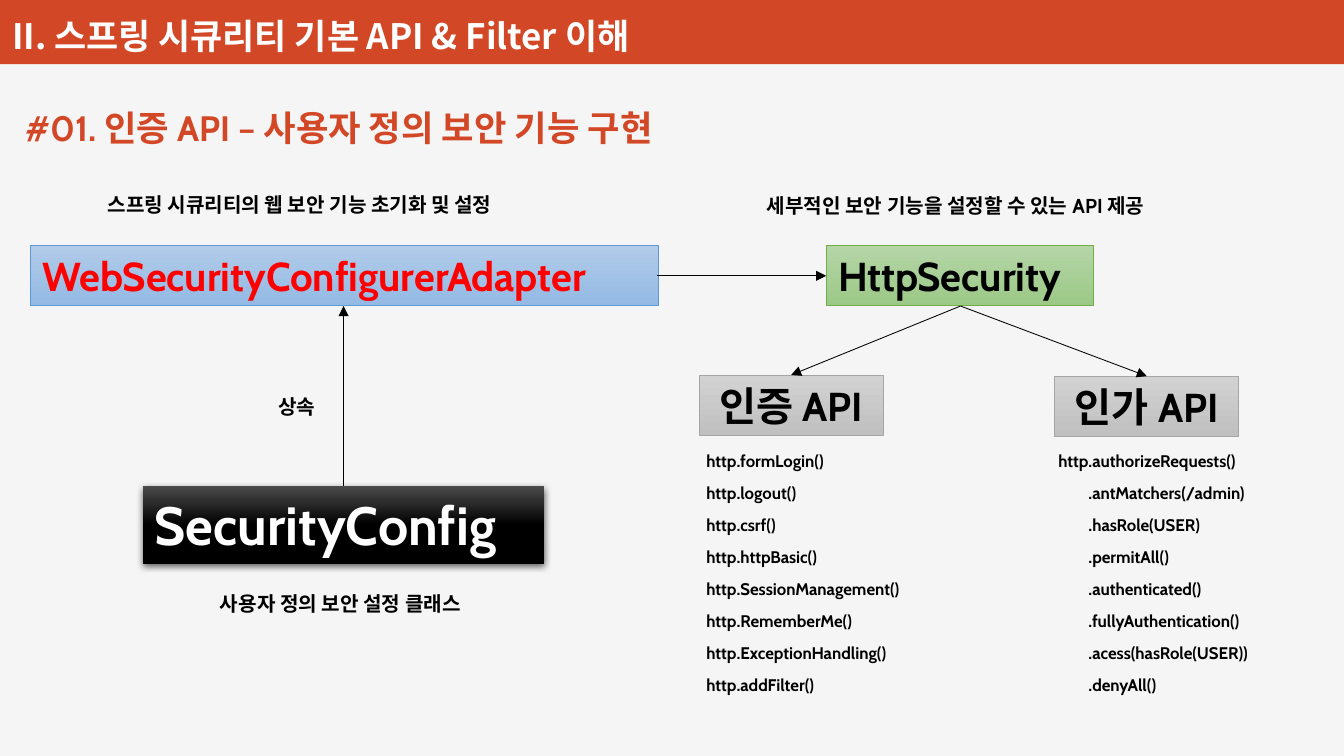
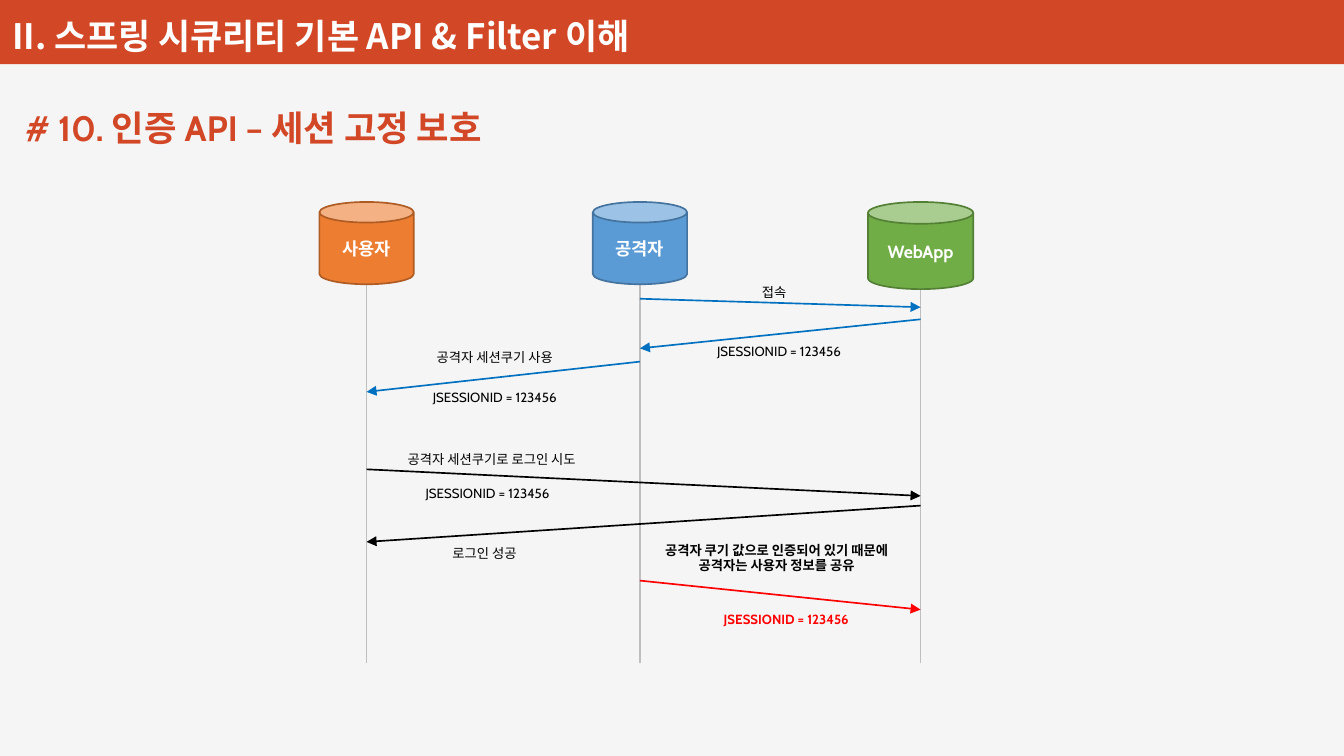
from dataclasses import dataclass
from typing import Optional

from lxml.etree import SubElement
from pptx import Presentation
from pptx.dml.color import RGBColor
from pptx.enum.shapes import MSO_CONNECTOR, MSO_SHAPE
from pptx.enum.text import MSO_ANCHOR, MSO_AUTO_SIZE, PP_ALIGN
from pptx.oxml.ns import qn
from pptx.shapes.autoshape import Shape
from pptx.slide import Slide
from pptx.text.text import TextFrame
from pptx.util import Inches, Pt

# Shared style
SLIDE_WIDTH, SLIDE_HEIGHT = 11.11, 6.25
LATIN, HANGUL = "Cabin", "Noto Sans CJK KR"
ACCENT, PAPER = "D24726", "F5F5F5"
BLACK, WHITE, RED, BLUE, GREY = "000000", "FFFFFF", "FF0000", "0070C0", "BFBFBF"
CHAPTER = "II. 스프링 시큐리티 기본 API & Filter 이해"
SESSION_COOKIE = "JSESSIONID = 123456"


@dataclass
class Label:
    text: str
    left: float
    top: float
    width: float
    height: float = 0.3
    size: float = 12
    color: str = BLACK
    bold: bool = True
    font: str = LATIN
    centered: bool = False
    wrap: bool = False
    space_before: float = 0


@dataclass
class ApiBox:
    label: Label
    top_color: str
    bottom_color: str
    outline: Optional[str]
    fade_end: float = 1.0


@dataclass
class Actor:
    name: str
    axis: float
    width: float
    height: float
    fill: str
    outline: str


@dataclass
class Arrow:
    x1: float
    y1: float
    x2: float
    y2: float
    color: str = BLACK
    weight: float = 1
    head: bool = True


def rgb(color: str) -> RGBColor:
    return RGBColor.from_string(color)


def write(frame: TextFrame, label: Label) -> None:
    frame.text = label.text
    frame.word_wrap = label.wrap
    for index, paragraph in enumerate(frame.paragraphs):
        paragraph.alignment = PP_ALIGN.CENTER if label.centered else PP_ALIGN.LEFT
        if index and label.space_before:
            paragraph.space_before = Pt(label.space_before)
        for run in paragraph.runs:
            run.font.size = Pt(label.size)
            run.font.bold = label.bold
            run.font.color.rgb = rgb(label.color)
            run.font.name = label.font
            SubElement(run._r.get_or_add_rPr(), qn("a:ea"), typeface=HANGUL)


def add_label(slide: Slide, label: Label) -> TextFrame:
    box = slide.shapes.add_textbox(
        Inches(label.left), Inches(label.top), Inches(label.width), Inches(label.height))
    write(box.text_frame, label)
    box.text_frame.auto_size = MSO_AUTO_SIZE.SHAPE_TO_FIT_TEXT
    return box.text_frame


def add_plain_shape(slide: Slide, kind: MSO_SHAPE, left: float, top: float,
                    width: float, height: float, outline: Optional[str], weight: float) -> Shape:
    shape = slide.shapes.add_shape(
        kind, Inches(left), Inches(top), Inches(width), Inches(height))
    shape.shadow.inherit = False
    if outline:
        shape.line.color.rgb = rgb(outline)
        shape.line.width = Pt(weight)
    else:
        shape.line.fill.background()
    return shape


def add_api_box(slide: Slide, box: ApiBox) -> Shape:
    label = box.label
    shape = add_plain_shape(slide, MSO_SHAPE.RECTANGLE, label.left, label.top,
                            label.width, label.height, box.outline, 0.5)
    shape.fill.gradient()
    shape.fill.gradient_angle = 270
    first, last = shape.fill.gradient_stops
    first.color.rgb, first.position = rgb(box.top_color), 0
    last.color.rgb, last.position = rgb(box.bottom_color), box.fade_end
    write(shape.text_frame, label)
    shape.text_frame.vertical_anchor = MSO_ANCHOR.TOP
    shape.text_frame.auto_size = MSO_AUTO_SIZE.SHAPE_TO_FIT_TEXT
    return shape


def add_soft_shadow(shape: Shape) -> None:
    effects = shape._element.spPr.find(qn("a:effectLst"))
    shadow = SubElement(effects, qn("a:outerShdw"), blurRad=str(Pt(4.5)), dist=str(Pt(1.5)),
                        dir="5400000", algn="ctr", rotWithShape="0")
    color = SubElement(shadow, qn("a:srgbClr"), val=BLACK)
    SubElement(color, qn("a:alpha"), val="63000")


def add_arrow(slide: Slide, arrow: Arrow) -> None:
    connector = slide.shapes.add_connector(
        MSO_CONNECTOR.STRAIGHT, Inches(arrow.x1), Inches(arrow.y1),
        Inches(arrow.x2), Inches(arrow.y2))
    connector.line.color.rgb = rgb(arrow.color)
    connector.line.width = Pt(arrow.weight)
    properties = connector._element.spPr
    if arrow.head:
        SubElement(properties.find(qn("a:ln")), qn("a:tailEnd"), type="triangle")
    SubElement(properties, qn("a:effectLst"))


def add_actor(slide: Slide, actor: Actor) -> None:
    can = add_plain_shape(slide, MSO_SHAPE.CAN, actor.axis - actor.width / 2, ACTOR_TOP,
                          actor.width, actor.height, actor.outline, 1)
    can.fill.solid()
    can.fill.fore_color.rgb = rgb(actor.fill)
    write(can.text_frame, Label(actor.name, 0, 0, 0, size=10.5, color=WHITE,
                                centered=True, wrap=True))
    can.text_frame.vertical_anchor = MSO_ANCHOR.MIDDLE


def start_slide(deck: Presentation, title: str, title_width: float) -> Slide:
    slide = deck.slides.add_slide(deck.slide_layouts[6])
    slide.background.fill.solid()
    slide.background.fill.fore_color.rgb = rgb(PAPER)
    # Chapter band
    band = add_plain_shape(slide, MSO_SHAPE.RECTANGLE, 0, 0, SLIDE_WIDTH, 0.53, None, 0)
    band.fill.solid()
    band.fill.fore_color.rgb = rgb(ACCENT)
    chapter = add_label(slide, Label(CHAPTER, 0.01, -0.1, 6.17, 0.61, 20.8, WHITE,
                                     font=HANGUL, wrap=True))
    chapter.auto_size = MSO_AUTO_SIZE.NONE
    chapter.vertical_anchor = MSO_ANCHOR.BOTTOM
    chapter.margin_left = chapter.margin_right = Inches(0.09)
    chapter.margin_top = chapter.margin_bottom = Inches(0.04)
    # Slide title
    add_label(slide, Label(title, 0.11, 0.83, title_width, 0.45, 21, ACCENT))
    return slide


# Slide 1: security classes and their methods
GREY_FADE = ("D2D2D2", "C0C0C0", "A5A5A5")
API_BOXES = [
    ApiBox(Label("WebSecurityConfigurerAdapter", 0.25, 2.03, 5.19, 0.5, 24, RED),
           "B1CBE9", "93B9E4", "5B9BD5"),
    ApiBox(Label("HttpSecurity", 6.83, 2.03, 2.21, 0.5, 24), "B5D5A7", "9CC987", "70AD47"),
    ApiBox(Label("인증 API", 5.78, 3.1, 1.52, 0.5, 24, centered=True), *GREY_FADE),
    ApiBox(Label("인가 API", 8.72, 3.11, 1.52, 0.5, 24, centered=True), *GREY_FADE),
]
SECURITY_CONFIG = ApiBox(Label("SecurityConfig", 1.18, 4.02, 3.32, 0.64, 32, WHITE),
                         "4B4B4B", BLACK, None, 0.5)
CLASS_ARROWS = [
    Arrow(2.84, 4.02, 2.84, 2.53, weight=0.5),
    Arrow(5.43, 2.28, 6.83, 2.28, weight=0.5),
    Arrow(7.94, 2.53, 6.54, 3.1, weight=0.5),
    Arrow(7.94, 2.53, 9.48, 3.11, weight=0.5),
]
CLASS_NOTES = [
    Label("스프링 시큐리티의 웹 보안 기능 초기화 및 설정", 0.79, 1.54, 3.72),
    Label("사용자 정의 보안 설정 클래스", 1.72, 4.84, 2.45),
    Label("세부적인 보안 기능을 설정할 수 있는 API 제공", 6.24, 1.55, 3.7),
    Label("상속", 2.2, 3.21, 0.54),
]
AUTHENTICATION_CODE = """http.formLogin()
http.logout()
http.csrf()
http.httpBasic()
http.SessionManagement()
http.RememberMe()
http.ExceptionHandling()
http.addFilter()"""
AUTHORIZATION_CODE = """http.authorizeRequests()
        .antMatchers(/admin)
        .hasRole(USER)
        .permitAll()
        .authenticated()
        .fullyAuthentication()
        .acess(hasRole(USER))
        .denyAll()"""
CODE_LISTS = [
    Label(AUTHENTICATION_CODE, 5.74, 3.68, 2.05, 2.13, 10, wrap=True, space_before=7),
    Label(AUTHORIZATION_CODE, 8.65, 3.68, 2.13, 2.13, 10, wrap=True, space_before=7),
]


def build_security_classes(deck: Presentation) -> None:
    slide = start_slide(deck, "#01. 인증 API – 사용자 정의 보안 기능 구현", 5.9)
    for box in API_BOXES:
        add_api_box(slide, box)
    add_soft_shadow(add_api_box(slide, SECURITY_CONFIG))
    for arrow in CLASS_ARROWS:
        add_arrow(slide, arrow)
    for label in CLASS_NOTES + CODE_LISTS:
        add_label(slide, label)


# Slide 2: session fixation sequence
ACTOR_TOP, LIFELINE_END = 1.67, 5.48
USER, ATTACKER, WEB_APP = 3.03, 5.29, 7.61
ACTORS = [
    Actor("사용자", USER, 0.78, 0.68, "ED7D31", "AF5C24"),
    Actor("공격자", ATTACKER, 0.78, 0.68, "5B9BD5", "43739E"),
    Actor("WebApp", WEB_APP, 0.87, 0.72, "70AD47", "538035"),
]
MESSAGES = [
    Arrow(ATTACKER, 2.47, WEB_APP, 2.54, BLUE),
    Arrow(WEB_APP, 2.64, ATTACKER, 2.88, BLUE),
    Arrow(ATTACKER, 2.99, USER, 3.24, BLUE),
    Arrow(USER, 3.88, WEB_APP, 4.1),
    Arrow(WEB_APP, 4.18, USER, 4.48),
    Arrow(ATTACKER, 4.8, WEB_APP, 5.04, RED),
]


def caption(text: str, left: float, top: float, width: float = 1.78, height: float = 0.23,
            color: str = BLACK, bold: bool = False) -> Label:
    return Label(text, left, top, width, height, 7.9, color, bold, centered=True, wrap=True)


CAPTIONS = [
    caption("접속", 6.08, 2.3, 0.64),
    caption(SESSION_COOKIE, 5.55, 2.79),
    caption("공격자 세션쿠기 사용", 3.2, 2.84),
    caption(SESSION_COOKIE, 3.2, 3.17),
    caption("공격자 세션쿠기로 로그인 시도", 3.13, 3.68, 1.87),
    caption(SESSION_COOKIE, 3.14, 3.96),
    caption("로그인 성공", 3.55, 4.46, 0.91),
    caption("공격자 쿠기 값으로 인증되어 있기 때문에\n공격자는 사용자 정보를 공유",
            5.08, 4.43, 2.68, 0.36, bold=True),
    caption(SESSION_COOKIE, 5.61, 5, color=RED, bold=True),
]


def build_session_fixation(deck: Presentation) -> None:
    slide = start_slide(deck, "# 10. 인증 API – 세션 고정 보호", 4.35)
    for actor in ACTORS:
        add_arrow(slide, Arrow(actor.axis, ACTOR_TOP + actor.height, actor.axis, LIFELINE_END,
                               GREY, head=False))
        add_actor(slide, actor)
    for message in MESSAGES:
        add_arrow(slide, message)
    for label in CAPTIONS:
        add_label(slide, label)


def main() -> None:
    deck = Presentation()
    deck.slide_width, deck.slide_height = Inches(SLIDE_WIDTH), Inches(SLIDE_HEIGHT)
    build_security_classes(deck)
    build_session_fixation(deck)
    deck.save("out.pptx")


if __name__ == "__main__":
    main()
